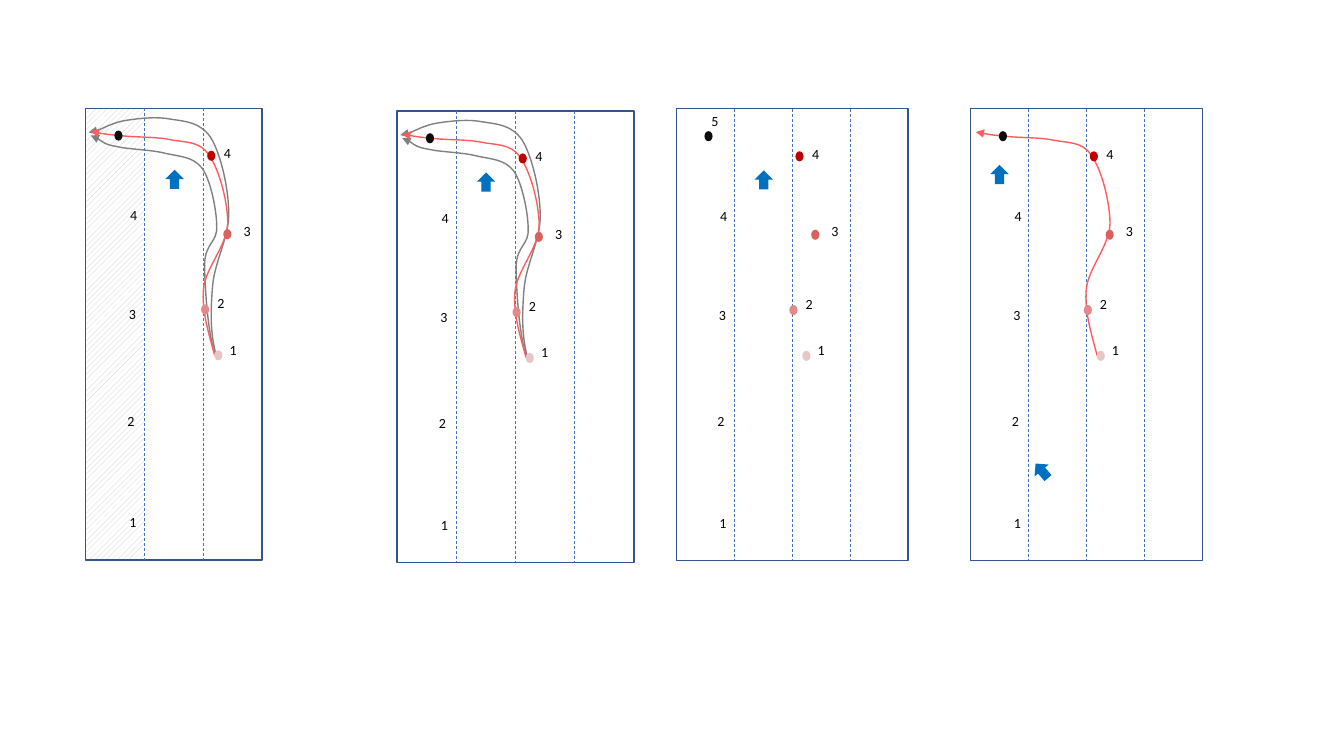
from lxml import etree
from pptx import Presentation
from pptx.dml.color import RGBColor
from pptx.enum.dml import MSO_LINE, MSO_PATTERN
from pptx.enum.shapes import MSO_CONNECTOR, MSO_SHAPE
from pptx.enum.text import MSO_ANCHOR, MSO_AUTO_SIZE, PP_ALIGN
from pptx.oxml.ns import qn
from pptx.util import Pt

RECT, OVAL, ARROW = MSO_SHAPE.RECTANGLE, MSO_SHAPE.OVAL, MSO_SHAPE.RIGHT_ARROW
STRAIGHT, DASH = MSO_CONNECTOR.STRAIGHT, MSO_LINE.DASH
HATCH = MSO_PATTERN.WIDE_UPWARD_DIAGONAL
TOP, LEFT, FIT = MSO_ANCHOR.TOP, PP_ALIGN.LEFT, MSO_AUTO_SIZE.SHAPE_TO_FIT_TEXT

WHITE = RGBColor(0xFF, 0xFF, 0xFF)
BLACK = RGBColor(0x00, 0x00, 0x00)
NAVY = RGBColor(0x32, 0x54, 0x91)
BLUE = RGBColor(0x44, 0x72, 0xC4)
AZURE = RGBColor(0x00, 0x70, 0xC0)
RED = RGBColor(0xFF, 0x5D, 0x5D)
GREY = RGBColor(0x80, 0x80, 0x80)
PALE = RGBColor(0xD0, 0xCE, 0xCE)

WIDE, HIGH = 169.2, 322.6
LANE = 42.2
DOT_W, DOT_H = 5.8, 7.2
FRAME = {"margin_left": Pt(7.2), "margin_right": 0, "word_wrap": True,
         "auto_size": FIT, "vertical_anchor": TOP}
FONT = {"name": "Calibri", "size": Pt(10)}

DOTS = [
    (98.3, 86.4, RGBColor(0xD8, 0x62, 0x62)),
    (82.4, 140.2, RGBColor(0xE3, 0x89, 0x89)),
    (91.8, 172.9, RGBColor(0xE8, 0xC6, 0xC6)),
    (86.8, 30.4, RGBColor(0xC0, 0x00, 0x00)),
    (20.5, 16.0, RGBColor(0x0D, 0x0D, 0x0D)),
]
LABELS = [
    ("1", 95.7, 162.9), ("2", 87, 129.6), ("3", 105.8, 78), ("4", 91.7, 22.6),
    ("1", 24.2, 286), ("2", 22.8, 213.5), ("3", 23.8, 137.6), ("4", 24.7, 67),
]
FIFTH = ("5", 18.3, -0.6)

OUTER = [
    (93.6, 177.8), (88.6, 160.6), (89.3, 144), (90.7, 126.7),
    (92.2, 109.4), (102.2, 92.9), (102.2, 74.9),
    (102.2, 57.6), (96.5, 32.4), (89.3, 20.9),
    (82.1, 10.1), (71.3, 9.4), (61.2, 7.9),
    (51.1, 5.8), (38.9, 7.2), (29.5, 8.6),
    (19.4, 10.1), (6.5, 18), (2.2, 17.3),
]
INNER = [
    (92.2, 175), (87.1, 159.8), (85, 126), (85, 110.9),
    (85.7, 95.8), (94.3, 95.8), (93.6, 84.2),
    (93.6, 72.7), (89.3, 51.8), (83.5, 43.2),
    (77, 34.6), (67.7, 34.6), (57.6, 32.4),
    (46.8, 29.5), (31, 29.5), (22.3, 27.4),
    (13, 25.9), (7.9, 20.2), (3.6, 19.4),
]
MIDDLE = [
    (92.2, 176.4), (87.8, 160.6), (82.8, 144.7), (84.2, 128.9),
    (85.7, 113.8), (100.8, 98.6), (101.5, 82.1),
    (101.5, 66.2), (95, 42.5), (87.8, 33.1),
    (81.4, 23), (69.8, 24.5), (59.8, 22.3),
    (49, 20.2), (33.1, 20.9), (23.8, 19.4),
    (14.4, 18.7), (7.9, 17.3), (3.6, 16.6),
]
TRIO = [(OUTER, GREY), (INNER, GREY), (MIDDLE, RED)]
SINGLE = [(MIDDLE, RED)]
UP = (56.7, 44.2, 270)
PANELS = [
    {"left": 61.2, "top": 77.3, "width": 126, "scale": 1, "lanes": 3,
     "curves": TRIO, "arrows": [UP], "labels": LABELS, "hatch": True},
    {"left": 283.7, "top": 79.2, "width": WIDE, "scale": 1, "lanes": 4,
     "curves": TRIO, "arrows": [UP], "labels": LABELS},
    {"left": 483.1, "top": 77.7, "width": 165.6, "scale": 0.98, "lanes": 4,
     "curves": [], "arrows": [UP], "labels": LABELS + [FIFTH]},
    {"left": 693.4, "top": 77.7, "width": 165.6, "scale": 0.98, "lanes": 4,
     "curves": SINGLE, "arrows": [(14, 40.3, 270), (44.8, 252, 229.4)],
     "labels": LABELS},
]


def add_form(shapes, kind, x, y, w, h, color=None):
    form = shapes.add_shape(kind, Pt(x), Pt(y), Pt(w), Pt(h))
    form.shadow.inherit = False
    form.line.fill.background()
    if color is None:
        form.fill.background()
    else:
        form.fill.solid()
        form.fill.fore_color.rgb = color
    return form


def add_label(shapes, text, x, y):
    box = shapes.add_textbox(Pt(x), Pt(y), Pt(14.4), Pt(24.5))
    frame = box.text_frame
    for key, value in FRAME.items():
        setattr(frame, key, value)
    line = frame.paragraphs[0]
    line.alignment = LEFT
    run = line.add_run()
    run.text = text
    for key, value in FONT.items():
        setattr(run.font, key, value)
    run.font.color.rgb = BLACK


def add_curve(shapes, points, color):
    spots = [(Pt(x), Pt(y)) for x, y in points]
    maker = shapes.build_freeform(*spots[0])
    maker.add_line_segments(spots[1:], close=False)
    curve = maker.convert_to_shape()
    curve.shadow.inherit = False
    curve.fill.background()
    curve.line.color.rgb = color
    curve.line.width = Pt(1)
    props = curve.element.spPr
    track = next(props.iter(qn("a:path")))
    steps = track.findall(qn("a:lnTo"))
    for start in range(0, len(steps), 3):
        bend = etree.SubElement(track, qn("a:cubicBezTo"))
        for step in steps[start:start + 3]:
            bend.append(step[0])
            track.remove(step)
    etree.SubElement(props.find(qn("a:ln")), qn("a:tailEnd"), type="triangle")


def add_lane(shapes, x, top):
    lane = shapes.add_connector(STRAIGHT, Pt(x), Pt(top), Pt(x), Pt(top + HIGH))
    lane.line.color.rgb = BLUE
    lane.line.width = Pt(0.5)
    lane.line.dash_style = DASH
    etree.SubElement(lane.element.spPr, qn("a:effectLst"))


def add_panel(shapes, left, top, width, scale, lanes, curves, arrows, labels,
              hatch=False):
    def place(x, y):
        return left + x * scale, top + y

    if hatch:
        strip = add_form(shapes, RECT, left, top, LANE, HIGH)
        strip.fill.patterned()
        strip.fill.pattern = HATCH
        strip.fill.fore_color.rgb = PALE
        strip.fill.back_color.rgb = WHITE
    border = add_form(shapes, RECT, left, top, width, HIGH,
                      None if hatch else WHITE)
    border.line.color.rgb = NAVY
    border.line.width = Pt(1)
    for count in range(1, lanes):
        add_lane(shapes, left + count * LANE * scale, top)
    for text, x, y in labels:
        add_label(shapes, text, *place(x, y))
    for points, color in curves:
        add_curve(shapes, [place(x, y) for x, y in points], color)
    for x, y, turn in arrows:
        arrow = add_form(shapes, ARROW, *place(x, y), 13.7, 13.2, AZURE)
        arrow.rotation = turn
    for x, y, color in DOTS:
        add_form(shapes, OVAL, *place(x, y), DOT_W, DOT_H, color)


def main():
    deck = Presentation()
    deck.slide_width, deck.slide_height = Pt(960), Pt(540)
    slide = deck.slides.add_slide(deck.slide_layouts[6])
    for panel in PANELS:
        add_panel(slide.shapes, **panel)
    deck.save("out.pptx")


if __name__ == "__main__":
    main()
